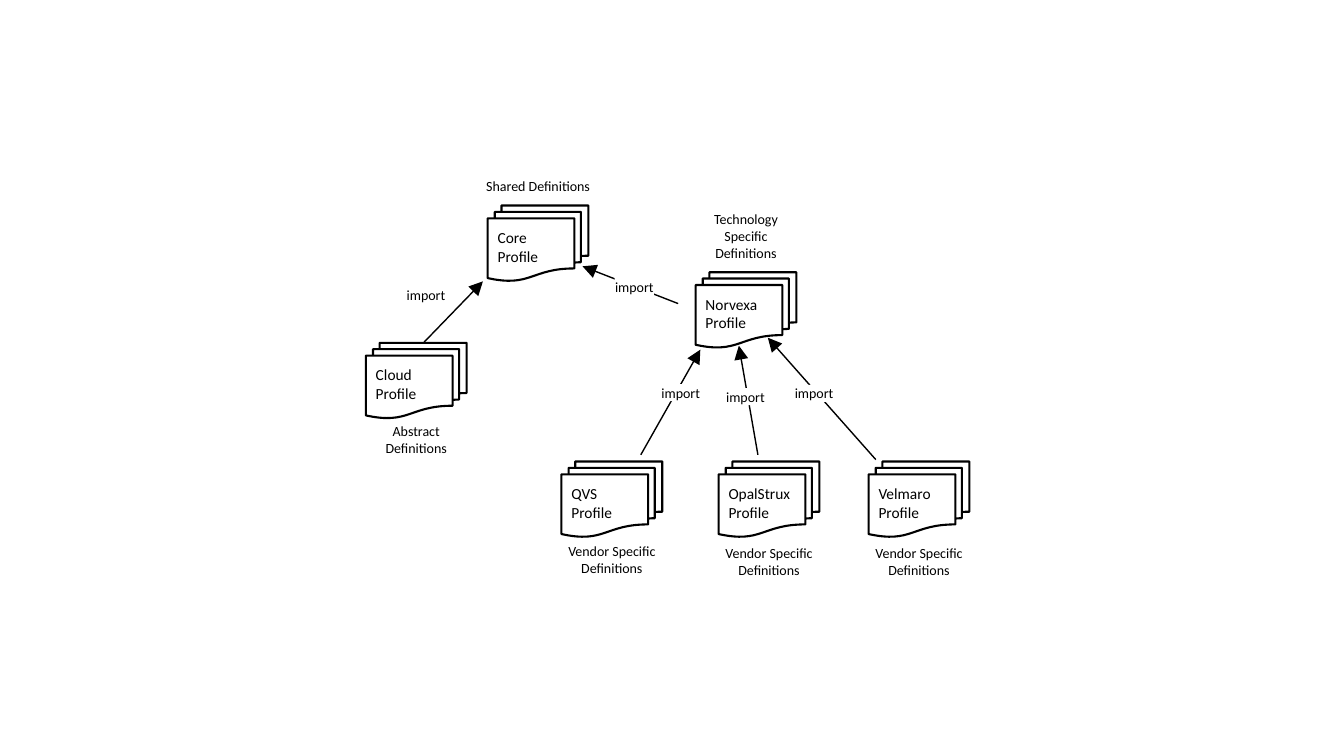
from lxml import etree
from pptx import Presentation
from pptx.dml.color import RGBColor
from pptx.enum.shapes import MSO_CONNECTOR, MSO_SHAPE
from pptx.enum.text import MSO_ANCHOR, PP_ALIGN
from pptx.oxml.ns import qn
from pptx.util import Cm, Pt

DOCUMENTS = MSO_SHAPE.FLOWCHART_MULTIDOCUMENT
RECTANGLE = MSO_SHAPE.RECTANGLE
STRAIGHT = MSO_CONNECTOR.STRAIGHT
TOP = MSO_ANCHOR.TOP
LEFT, CENTER = PP_ALIGN.LEFT, PP_ALIGN.CENTER

COLORS = {"ink": "000000", "paper": "FFFFFF"}
FONT = "Calibri"
PROFILE_WIDTH, PROFILE_HEIGHT = 2.54, 1.9
LABEL_WIDTH, LABEL_HEIGHT = 0.99, 0.43

# name, left, top, right inset, caption, caption offset, width, height
PROFILES = [
    ("Core Profile", 12.29, 5.18, 0.25, "Shared Definitions", -0.84, 3.2, 0.69),
    ("Cloud Profile", 9.22, 8.64, 0.25, "Abstract Definitions", 1.88, 3.2, 1.12),
    ("Norvexa Profile", 17.53, 6.86, 0, "Technology Specific Definitions", -1.68, 3.2, 1.55),
    ("QVS Profile", 14.15, 11.63, 0.25, "Vendor Specific Definitions", 1.91, 3.6, 1.12),
    ("OpalStrux Profile", 18.11, 11.63, 0, "Vendor Specific Definitions", 1.96, 3.6, 1.12),
    ("Velmaro Profile", 21.89, 11.63, 0, "Vendor Specific Definitions", 1.96, 3.6, 1.12),
]

IMPORTS = [
    ((16.15, 11.46), (17.65, 8.81), (16.66, 9.68)),
    ((22.07, 11.58), (19.35, 8.51), (20.02, 9.7)),
    ((19.1, 11.46), (18.62, 8.71), (18.29, 9.78)),
    ((10.67, 8.64), (12.17, 7.09), (10.24, 7.21)),
    ((17.09, 7.65), (14.68, 6.71), (15.49, 7.01)),
]


def color(name):
    return RGBColor.from_string(COLORS[name])


def write(shape, text, size, alignment, insets, wrap=True):
    frame = shape.text_frame
    frame.text = text
    frame.word_wrap = wrap
    frame.vertical_anchor = TOP
    (frame.margin_left, frame.margin_top,
     frame.margin_right, frame.margin_bottom) = [Cm(inset) for inset in insets]
    paragraph = frame.paragraphs[0]
    paragraph.alignment = alignment
    font = paragraph.runs[0].font
    font.name, font.size = FONT, Pt(size)
    font.color.rgb = color("ink")


def add_arrow(slide, start, end):
    arrow = slide.shapes.add_connector(STRAIGHT, *[Cm(value) for value in start + end])
    arrow.line.color.rgb = color("ink")
    arrow.line.width = Pt(1)
    etree.SubElement(arrow.line._get_or_add_ln(), qn("a:tailEnd"),
                     type="triangle", w="lg", len="lg")
    etree.SubElement(arrow._element.spPr, qn("a:effectLst"))


def add_import_label(slide, left, top):
    label = slide.shapes.add_shape(RECTANGLE, Cm(left), Cm(top),
                                   Cm(LABEL_WIDTH), Cm(LABEL_HEIGHT))
    label.shadow.inherit = False
    label.fill.solid()
    label.fill.fore_color.rgb = color("paper")
    label.line.fill.background()
    write(label, "import", 10, CENTER, (0, 0, 0, 0), wrap=False)


def add_profile(slide, name, left, top, right_inset, caption, offset, width, height):
    profile = slide.shapes.add_shape(DOCUMENTS, Cm(left), Cm(top),
                                     Cm(PROFILE_WIDTH), Cm(PROFILE_HEIGHT))
    profile.shadow.inherit = False
    profile.fill.background()
    profile.line.color.rgb = color("ink")
    profile.line.width = Pt(1.5)
    write(profile, name, 11, LEFT, (0.25, 0.25, right_inset, 0.13))
    caption_left = left + (PROFILE_WIDTH - width) / 2
    caption_box = slide.shapes.add_textbox(Cm(caption_left), Cm(top + offset),
                                           Cm(width), Cm(height))
    write(caption_box, caption, 10, CENTER, (0.25, 0.13, 0.25, 0.13))


def add_profile_diagram(slide):
    for start, end, label in IMPORTS:
        add_arrow(slide, start, end)
    for profile in PROFILES:
        add_profile(slide, *profile)
    for start, end, label in IMPORTS:
        add_import_label(slide, *label)


def main():
    presentation = Presentation()
    presentation.slide_width = Cm(33.87)
    presentation.slide_height = Cm(19.05)
    slide = presentation.slides.add_slide(presentation.slide_layouts[6])
    add_profile_diagram(slide)
    presentation.save("out.pptx")


if __name__ == "__main__":
    main()
